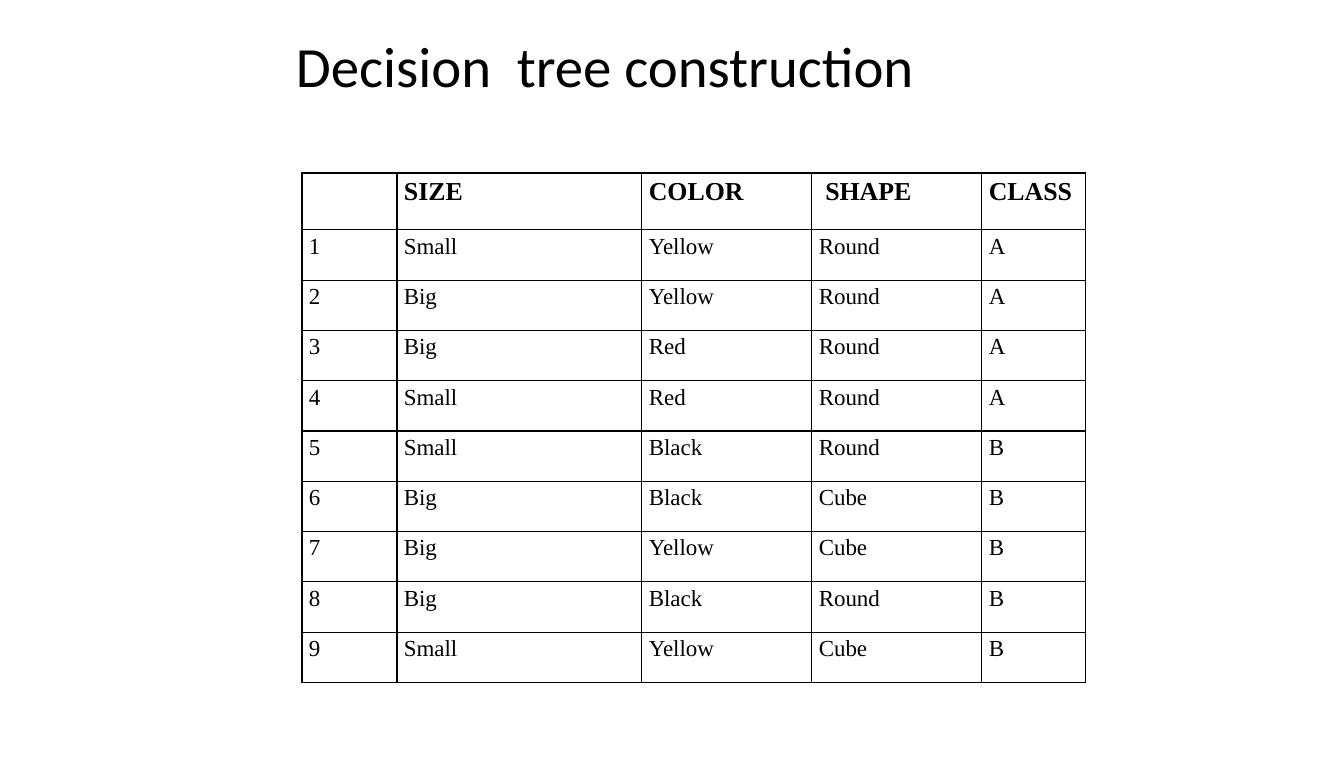
from lxml.etree import SubElement
from pptx import Presentation
from pptx.dml.color import RGBColor
from pptx.enum.text import MSO_ANCHOR, PP_ALIGN
from pptx.oxml.ns import qn
from pptx.util import Inches, Pt

TITLE = "Decision  tree construction"
HEAD = ("", "SIZE", "COLOR", " SHAPE", "CLASS")
ITEMS = [
    ("Small", "Yellow", "Round", "A"),
    ("Big", "Yellow", "Round", "A"),
    ("Big", "Red", "Round", "A"),
    ("Small", "Red", "Round", "A"),
    ("Small", "Black", "Round", "B"),
    ("Big", "Black", "Cube", "B"),
    ("Big", "Yellow", "Cube", "B"),
    ("Big", "Black", "Round", "B"),
    ("Small", "Yellow", "Cube", "B"),
]

INK = "000000"
THEME = {
    "title": {"name": "Calibri", "size": Pt(39.6), "bold": False},
    "head": {"name": "Times New Roman", "size": Pt(18), "bold": True},
    "body": {"name": "Times New Roman", "size": Pt(16), "bold": False},
}
RULE = Pt(1)

# Lengths in px
SCALE = Inches(1) / 103.4
TITLE_BOX = (0, 31, 1210, 129)
LEFT, TOP, HIGH = 302, 173, 510
COLS = (95, 245, 170, 170, 104)
HEAD_H = 57
PAD = 7


def emu(px):
    return round(px * SCALE)


def put(item, values):
    for key, value in values.items():
        setattr(item, key, value)


def style(para, kind):
    put(para.font, THEME[kind])
    para.font.color.rgb = RGBColor.from_string(INK)


def frame(cell):
    """Draw all four borders, which must precede the cell's fill."""
    props = cell._tc.get_or_add_tcPr()
    for side in ("lnL", "lnR", "lnT", "lnB"):
        line = SubElement(props, qn(f"a:{side}"), w=str(RULE))
        fill = SubElement(line, qn("a:solidFill"))
        SubElement(fill, qn("a:srgbClr"), val=INK)
    cell.fill.background()


def add_title(slide):
    title = slide.shapes.title
    put(title, dict(zip(("left", "top", "width", "height"), map(emu, TITLE_BOX))))
    text = title.text_frame
    put(text, {"text": TITLE, "vertical_anchor": MSO_ANCHOR.TOP,
               "margin_top": 0, "word_wrap": True})
    para = text.paragraphs[0]
    para.alignment = PP_ALIGN.CENTER
    style(para, "title")


def add_grid(slide):
    rows = [HEAD] + [(str(n), *item) for n, item in enumerate(ITEMS, 1)]
    box = map(emu, (LEFT, TOP, sum(COLS), HIGH))
    table = slide.shapes.add_table(len(rows), len(COLS), *box).table
    put(table, {"first_row": False, "horz_banding": False})
    for col, width in zip(table.columns, COLS):
        col.width = emu(width)
    body_h = (HIGH - HEAD_H) / len(ITEMS)
    pads = {"margin_left": emu(PAD), "margin_right": emu(PAD),
            "margin_top": 0, "margin_bottom": 0}
    for r, row in enumerate(rows):
        table.rows[r].height = emu(body_h if r else HEAD_H)
        for c, word in enumerate(row):
            cell = table.cell(r, c)
            put(cell, {"text": word, **pads})
            frame(cell)
            para = cell.text_frame.paragraphs[0]
            para.line_spacing = 1.15
            style(para, "body" if r else "head")


def main():
    deck = Presentation()
    put(deck, {"slide_width": Inches(13), "slide_height": Inches(7.5)})
    slide = deck.slides.add_slide(deck.slide_layouts.get_by_name("Title Only"))
    add_title(slide)
    add_grid(slide)
    deck.save("out.pptx")


if __name__ == "__main__":
    main()
